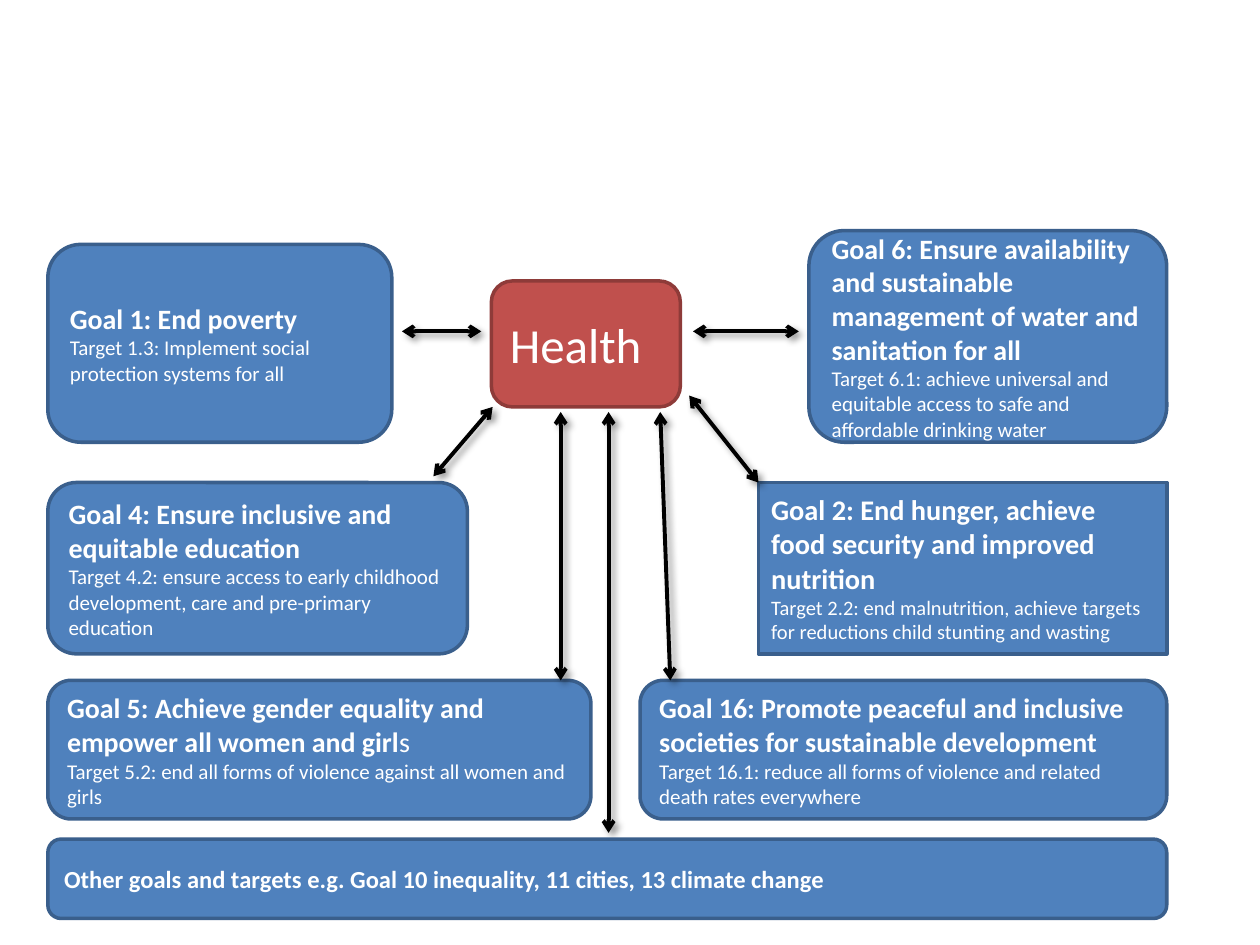
from lxml import etree
from pptx import Presentation
from pptx.dml.color import RGBColor
from pptx.enum.shapes import MSO_CONNECTOR, MSO_SHAPE
from pptx.enum.text import MSO_ANCHOR, MSO_AUTO_SIZE, PP_ALIGN
from pptx.oxml import parse_xml
from pptx.oxml.ns import nsdecls, qn
from pptx.util import Inches, Pt

ROUNDED, STRAIGHT = MSO_SHAPE.ROUNDED_RECTANGLE, MSO_CONNECTOR.STRAIGHT
MIDDLE, LEFT, NO_FIT = MSO_ANCHOR.MIDDLE, PP_ALIGN.LEFT, MSO_AUTO_SIZE.NONE

BLUE, BLUE_EDGE = RGBColor(0x4F, 0x81, 0xBD), RGBColor(0x3A, 0x5F, 0x8C)
RED, RED_EDGE = RGBColor(0xC0, 0x50, 0x4D), RGBColor(0x8E, 0x3B, 0x39)
WHITE, BLACK = RGBColor(0xFF, 0xFF, 0xFF), RGBColor(0, 0, 0)

COLS, ROWS = 100, 75  # grid over the whole slide

HEAD = {"size": Pt(16), "bold": True}
BODY = {"size": Pt(12), "bold": False}
TITLE_HEAD = {"size": Pt(16.2), "bold": True}
TITLE_BODY = {"size": Pt(11.7), "bold": False}
FOOT = {"size": Pt(14), "bold": True}
HUB = {"size": Pt(28), "bold": False}

SHADOW = (f'<a:effectLst {nsdecls("a")}><a:outerShdw blurRad="{Pt(4)}" '
          f'dist="{Pt(3)}" dir="2700000" algn="ctr" rotWithShape="0">'
          '<a:srgbClr val="000000"><a:alpha val="40000"/></a:srgbClr>'
          '</a:outerShdw></a:effectLst>')


class GoalMap:
    def __init__(self, prs):
        self.cell_w = prs.slide_width / COLS
        self.cell_h = prs.slide_height / ROWS
        self.s = prs.slides.add_slide(prs.slide_layouts[5])

    def place(self, col, row):
        return round(col * self.cell_w), round(row * self.cell_h)

    def style(self, sp, paragraphs, fill=BLUE, edge=BLUE_EDGE):
        """Colour a box and write its paragraphs, each a list of (text, format)."""
        sp.fill.solid()
        sp.fill.fore_color.rgb = fill
        sp.line.color.rgb = edge
        sp.line.width = Pt(2)
        tf = sp.text_frame
        for name, value in {"word_wrap": True, "auto_size": NO_FIT,
                            "vertical_anchor": MIDDLE}.items():
            setattr(tf, name, value)
        for i, runs in enumerate(paragraphs):
            p = tf.add_paragraph() if i else tf.paragraphs[0]
            p.alignment = LEFT
            for text, look in runs:
                r = p.add_run()
                r.text = text.rstrip("\n")
                r.font.color.rgb = WHITE
                for name, value in {"name": "Calibri", **look}.items():
                    setattr(r.font, name, value)
                if text.endswith("\n"):
                    p.add_line_break()

    def title(self, at, paragraphs):
        sp = self.s.shapes.title
        sp.left, sp.top = self.place(*at[:2])
        sp.width, sp.height = self.place(*at[2:])
        self.style(sp, paragraphs)

    def box(self, at, paragraphs, **colors):
        sp = self.s.shapes.add_shape(ROUNDED, *self.place(*at[:2]), *self.place(*at[2:]))
        sp.shadow.inherit = False
        self.style(sp, paragraphs, **colors)

    def arrow(self, start, end):
        line = self.s.shapes.add_connector(STRAIGHT, *self.place(*start), *self.place(*end))
        line.line.color.rgb = BLACK
        line.line.width = Pt(2.25)
        ln = line.line._get_or_add_ln()
        for tag in ("a:headEnd", "a:tailEnd"):
            etree.SubElement(ln, qn(tag), type="arrow")
        ln.addnext(parse_xml(SHADOW))


def main():
    prs = Presentation()
    prs.slide_width, prs.slide_height = Inches(10), Inches(7.5)
    goals = GoalMap(prs)

    # Shared edges of the goal boxes
    left, right = 3.8, 92.6
    mid_row, mid_h = 38.3, 13.6
    low_row, low_h = 54, 11

    # Goals around the hub
    goals.box((left, 19.4, 27.3, 15.7), [
        [("Goal 1: End poverty", HEAD)],
        [("Target 1.3: Implement social protection systems for all", BODY)]])
    goals.title((60.2, mid_row, right - 60.2, mid_h), [
        [("Goal 2: End hunger, achieve food security and improved nutrition\n", TITLE_HEAD),
         ("Target 2.2: end malnutrition, achieve targets for reductions child "
          "stunting and wasting", TITLE_BODY)]])
    goals.box((64.2, 18.3, right - 64.2, 16.8), [
        [("Goal 6: Ensure availability and sustainable management of water and "
          "sanitation for all", HEAD)],
        [("Target 6.1: achieve universal and equitable access to safe and "
          "affordable drinking water", BODY)]])
    goals.box((left, low_row, 43.1, low_h), [
        [("Goal 5: Achieve gender equality and empower all women and girl", HEAD),
         ("s\n", {**HEAD, "bold": False}),
         ("Target 5.2: end all forms of violence against all women and girls", BODY)]])
    goals.box((left, mid_row, 33.3, mid_h), [
        [("Goal 4: Ensure inclusive and equitable education", HEAD)],
        [("Target 4.2: ensure access to early childhood development, care and "
          "pre-primary education", BODY)]])
    goals.box((50.8, low_row, right - 50.8, low_h), [
        [("Goal 16: Promote peaceful and inclusive societies for sustainable "
          "development\n", HEAD),
         ("Target 16.1: reduce all forms of violence and related death rates "
          "everywhere", BODY)]])

    # Hub
    goals.box((39, 22.3, 15, 10), [[("Health", HUB)]], fill=RED, edge=RED_EDGE)

    # Two-way arrows from the hub to each goal
    side_row, under_row = 26.3, 32.7
    for start, end in (
            ((44.5, under_row), (44.5, low_row)),
            ((38.2, side_row), (31.9, side_row)),
            ((55, side_row), (63.4, side_row)),
            ((54.7, 31.4), (60.2, mid_row)),
            ((52.4, under_row), (53.2, low_row)),
            ((39.1, 32.3), (34.4, 37.8)),
            ((48.3, under_row), (48.3, 66.1))):
        goals.arrow(start, end)

    # Remaining goals
    goals.box((left, 66.6, right - left, 6.3), [
        [("Other goals and targets e.g. Goal 10 inequality, 11 cities, "
          "13 climate change", FOOT)]])

    prs.save("out.pptx")


if __name__ == "__main__":
    main()
